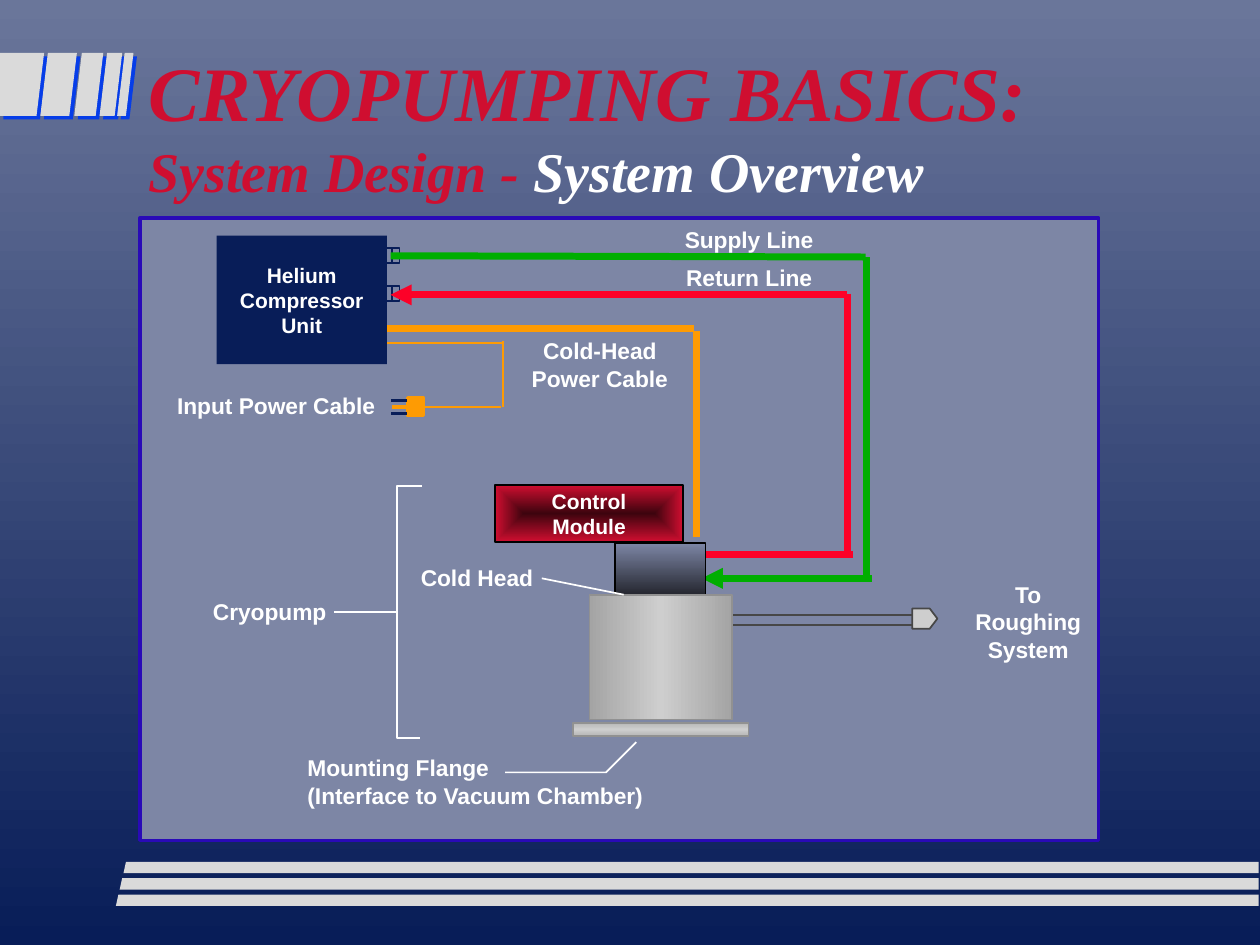
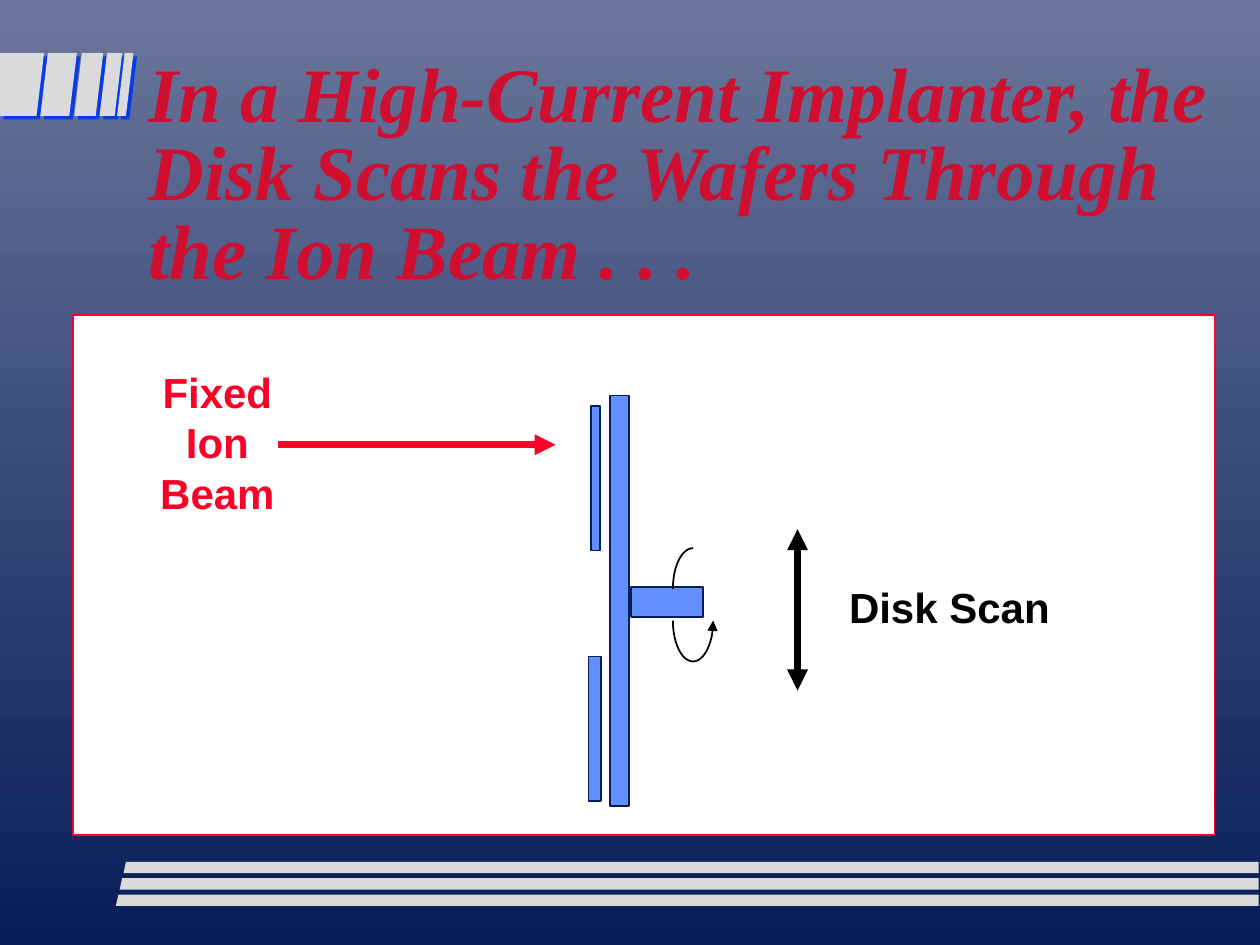
from lxml.etree import SubElement
from pptx import Presentation
from pptx.dml.color import RGBColor
from pptx.enum.shapes import MSO_CONNECTOR, MSO_SHAPE
from pptx.enum.text import MSO_ANCHOR, PP_ALIGN
from pptx.oxml.ns import qn
from pptx.util import Inches, Pt

COLORS = {
    "sky": "6A769A", "navy": "081D58", "band": "DADADA", "band_shadow": "063DE8",
    "title": "CF0E30", "white": "FFFFFF", "black": "000000",
    "panel": "7D86A5", "panel_edge": "290AB7", "supply": "00AE00",
    "red": "FC0128", "power": "FE9B03", "charcoal": "252730", "maroon": "3D040E",
    "steel": "CECECE", "steel_mid": "B8B8B8", "steel_dark": "A4A4A4",
    "steel_edge": "919191", "pipe": "474747", "disk": "618FFD",
}


def style_shape(shape, fill=None, line=None, width=1, direction=90):
    """Fill with nothing, one colour or a tuple of gradient colours."""
    shape.shadow.inherit = False
    if fill is None:
        shape.fill.background()
    elif isinstance(fill, str):
        shape.fill.solid()
        shape.fill.fore_color.rgb = RGBColor.from_string(COLORS[fill])
    else:
        shape.fill.gradient()
        gradient = shape.element.spPr.find(qn("a:gradFill"))
        gradient.clear()
        stops = SubElement(gradient, qn("a:gsLst"))
        for index, name in enumerate(fill):
            position = 100000 * index // (len(fill) - 1)
            stop = SubElement(stops, qn("a:gs"), pos=str(position))
            SubElement(stop, qn("a:srgbClr"), val=COLORS[name])
        if direction == "center":
            focus = SubElement(gradient, qn("a:path"), path="rect")
            SubElement(focus, qn("a:fillToRect"), l="50000", t="50000", r="50000", b="50000")
        else:
            SubElement(gradient, qn("a:lin"), ang=str(direction * 60000), scaled="0")
    if line is None:
        shape.line.fill.background()
    else:
        shape.line.color.rgb = RGBColor.from_string(COLORS[line])
        shape.line.width = Pt(width)
    return shape


def add_line(slide, color, width, points, arrows=()):
    """Straight line; arrows holds headEnd and/or tailEnd."""
    connector = slide.shapes.add_connector(MSO_CONNECTOR.STRAIGHT, *map(Inches, points))
    connector.line.color.rgb = RGBColor.from_string(COLORS[color])
    connector.line.width = Pt(width)
    outline = connector.element.spPr.find(qn("a:ln"))
    for arrow in arrows:
        SubElement(outline, qn(f"a:{arrow}"), type="triangle")
    SubElement(connector.element.spPr, qn("a:effectLst"))
    return connector


presentation = Presentation()
presentation.slide_width = Inches(10)
presentation.slide_height = Inches(7.5)
layout = presentation.slide_layouts[5]
overview = presentation.slides.add_slide(layout)
scan = presentation.slides.add_slide(layout)

# Shared background
background = layout.background.fill
background.gradient()
background.gradient_angle = 270
for stop, name in zip(background.gradient_stops, ("sky", "navy")):
    stop.color.rgb = RGBColor.from_string(COLORS[name])

# Shared bands: slanted blocks at the top left, stripes at the foot
bands = [
    ([(left, 0.42), (right, 0.42), (right - 0.06, 0.92), (max(left - 0.06, 0), 0.92)], True)
    for left, right in ((0, 0.35), (0.38, 0.61), (0.65, 0.82), (0.85, 0.97), (0.99, 1.06))
]
for row in range(3):
    left, top = 0.98 - 0.03 * row, 6.84 + 0.13 * row
    bands.append(([(left + 0.02, top), (9.99, top), (9.99, top + 0.09), (left, top + 0.09)], False))
for corners, has_shadow in bands:
    start, *others = [(Inches(x), Inches(y)) for x, y in corners]
    builder = overview.shapes.build_freeform(*start)
    builder.add_line_segments(others, close=True)
    band = style_shape(builder.convert_to_shape(), "band")
    if has_shadow:
        effects = band.element.spPr.find(qn("a:effectLst"))
        shadow = SubElement(effects, qn("a:outerShdw"), blurRad="0", dist=str(Pt(2.8)),
                            dir=str(45 * 60000), algn="ctr", rotWithShape="0")
        SubElement(shadow, qn("a:srgbClr"), val=COLORS["band_shadow"])
    layout.shapes.element.append(band.element)

# White panel behind the second title
scan_panel = scan.shapes.add_shape(
    MSO_SHAPE.RECTANGLE, Inches(0.58), Inches(2.5), Inches(9.06), Inches(4.13))
style_shape(scan_panel, "white", "red")
scan.shapes.element.append(scan.shapes.title.element)

# Titles: None stands for a line break
titles = [
    (overview, (1.08, 0.3, 8.5, 1.29), 1.0,
     [("CRYOPUMPING BASICS:", 44, "title"), None,
      ("System Design - ", 32, "title"), ("System Overview", 32, "white")]),
    (scan, (1.08, 0.42, 9.5, 2.42), 0.85,
     [("In a High-Current Implanter, the Disk Scans the Wafers Through", 44, "title"), None,
      ("the Ion Beam . . .", 44, "title")]),
]
for slide, box, spacing, parts in titles:
    title = slide.shapes.title
    title.left, title.top, title.width, title.height = map(Inches, box)
    frame = title.text_frame
    frame.word_wrap = True
    frame.vertical_anchor = MSO_ANCHOR.TOP
    paragraph = frame.paragraphs[0]
    paragraph.alignment = PP_ALIGN.LEFT
    paragraph.line_spacing = spacing
    for part in parts:
        if part is None:
            paragraph.add_line_break()
            continue
        text, size, color = part
        run = paragraph.add_run()
        run.text = text
        run.font.name = "Times New Roman"
        run.font.size = Pt(size)
        run.font.bold = run.font.italic = True
        run.font.color.rgb = RGBColor.from_string(COLORS[color])

# Overview: panel and power plug
panel = overview.shapes.add_shape(
    MSO_SHAPE.RECTANGLE, Inches(1.11), Inches(1.73), Inches(7.61), Inches(4.94))
style_shape(panel, "panel", "panel_edge", 2)
plug = overview.shapes.add_shape(
    MSO_SHAPE.RECTANGLE, Inches(3.24), Inches(3.16), Inches(0.12), Inches(0.14))
style_shape(plug, "power", "power", 2)

# Overview: compressor fittings, bracket and flange leader
outlines = [
    ([(x, y), (x + 0.08, y), (x + 0.08, y + 0.12), (x, y + 0.12)], "navy")
    for y in (1.97, 2.27) for x in (3.09, 3.03)
]
outlines += [
    ([(3.35, 3.86), (3.15, 3.86), (3.15, 5.86), (3.33, 5.86)], "white"),
    ([(5.05, 5.89), (4.81, 6.13), (4.01, 6.13)], "white"),
]
for points, color in outlines:
    start, *others = [(Inches(x), Inches(y)) for x, y in points]
    builder = overview.shapes.build_freeform(*start)
    builder.add_line_segments(others, close=False)
    style_shape(builder.convert_to_shape(), None, color)

# Overview: helium lines, cables and plug prongs
for color, width, points, arrows in [
    ("supply", 4, (6.88, 2.04, 6.88, 4.58), ()),
    ("supply", 4, (6.92, 4.59, 5.57, 4.59), ("tailEnd",)),
    ("red", 4, (6.73, 2.33, 6.73, 4.39), ()),
    ("red", 4, (6.77, 4.4, 5.55, 4.4), ()),
    ("power", 4, (2.97, 2.61, 5.51, 2.61), ()),
    ("power", 4, (5.53, 2.63, 5.53, 4.26), ()),
    ("supply", 4, (3.1, 2.03, 6.87, 2.04), ()),
    ("red", 4, (3.1, 2.34, 6.72, 2.34), ("headEnd",)),
    ("navy", 2, (3.23, 3.18, 3.1, 3.18), ()),
    ("navy", 2, (3.23, 3.28, 3.1, 3.28), ()),
    ("power", 2, (3.24, 3.23, 3.11, 3.23), ()),
    ("power", 1, (3.07, 2.72, 3.99, 2.72), ()),
    ("power", 1, (3.99, 3.23, 3.99, 2.71), ()),
    ("white", 1, (3.14, 4.86, 2.65, 4.86), ()),
]:
    add_line(overview, color, width, points, arrows)
input_cable = add_line(overview, "power", 1, (3.36, 3.23, 3.98, 3.23))
input_cable.begin_connect(plug, 3)

# Overview: equipment, from back to front
equipment = {}
for name, box, fill, line, direction in [
    ("compressor", (1.72, 1.87, 1.35, 1.02), "navy", None, 90),
    ("cold head", (4.88, 4.31, 0.72, 0.41), ("panel", "charcoal"), "black", 90),
    ("flange", (4.55, 5.74, 1.39, 0.1), ("steel_mid", "steel", "steel_mid"), "steel_edge", 90),
    ("control", (3.93, 3.85, 1.49, 0.45), ("maroon", "title"), "black", "center"),
    ("roughing pipe", (5.74, 4.88, 1.51, 0.08), None, "pipe", 90),
    ("vessel", (4.68, 4.72, 1.13, 0.99), ("steel_dark", "steel", "steel_dark"), "steel_edge", 0),
]:
    shape = overview.shapes.add_shape(MSO_SHAPE.RECTANGLE, *map(Inches, box))
    equipment[name] = style_shape(shape, fill, line, 1, direction)
add_line(overview, "white", 1, (4.3, 4.59, 4.95, 4.72))
pipe_tip = overview.shapes.add_shape(
    MSO_SHAPE.PENTAGON, Inches(7.24), Inches(4.83), Inches(0.2), Inches(0.16))
pipe_tip.adjustments[0] = 0.38
style_shape(pipe_tip, "steel", "pipe")

# Disk scan: disk, hub and the two wafers
for box in [(4.84, 3.14, 0.15, 3.26), (5.01, 4.66, 0.57, 0.24),
            (4.67, 5.21, 0.1, 1.15), (4.69, 3.22, 0.07, 1.15)]:
    shape = scan.shapes.add_shape(MSO_SHAPE.RECTANGLE, *map(Inches, box))
    style_shape(shape, "disk", "navy")

# Disk scan: rotation arcs (angles in degrees, clockwise from the right)
for top, first, last in [(4.35, 180, 270), (4.6, 0, 180)]:
    arc = scan.shapes.add_shape(
        MSO_SHAPE.ARC, Inches(5.34), Inches(top), Inches(0.32), Inches(0.65))
    arc.adjustments[0] = first * 0.6
    arc.adjustments[1] = last * 0.6
    style_shape(arc, None, "black")
    if first == 0:
        SubElement(arc.element.spPr.find(qn("a:ln")), qn("a:headEnd"), type="triangle")

# Disk scan: motion and beam arrows
add_line(scan, "black", 4, (6.33, 4.2, 6.33, 5.48), ("headEnd", "tailEnd"))
add_line(scan, "red", 4, (2.21, 3.53, 4.41, 3.53), ("tailEnd",))

# Labels: place (a box or a shape), alignment, size, colour, spacing, before, lines
LEFT, CENTER = PP_ALIGN.LEFT, PP_ALIGN.CENTER
for slide, place, align, size, color, spacing, before, lines in [
    (overview, (4.09, 2.71, 1.34, 0.44), CENTER, 13, "white", 0.5, 8.1,
     ["Cold-Head", "Power Cable"]),
    (overview, (1.15, 3.15, 2.08, 0.22), CENTER, 13, "white", 0.5, 8.1, ["Input Power Cable"]),
    (overview, (3.23, 4.51, 1.16, 0.22), LEFT, 13, "white", 0.5, 8.1, ["Cold Head"]),
    (overview, (1.58, 4.78, 1.16, 0.22), LEFT, 13, "white", 0.5, 8.1, ["Cryopump"]),
    (overview, (2.33, 6.02, 2.98, 0.44), LEFT, 13, "white", 0.5, 8.1,
     ["Mounting Flange", "(Interface to Vacuum Chamber)"]),
    (overview, (7.55, 4.64, 1.22, 0.66), CENTER, 13, "white", 0.5, 8.1,
     ["To", "Roughing", "System"]),
    (overview, (5.28, 1.73, 1.33, 0.33), CENTER, 13, "white", 1.0, 8.1, ["Supply Line"]),
    (overview, (5.33, 2.03, 1.23, 0.33), CENTER, 13, "white", 1.0, 8.1, ["Return Line"]),
    (overview, equipment["compressor"], CENTER, 12, "white", 1.0, 0,
     ["Helium", "Compressor", "Unit"]),
    (overview, equipment["control"], CENTER, 12, "white", 1.0, 0, ["Control", "Module"]),
    (scan, (6.64, 4.57, 1.9, 0.5), LEFT, 24, "black", 1.0, 0, ["Disk Scan"]),
    (scan, (1.1, 2.86, 1.25, 1.3), CENTER, 24, "red", 1.0, 0, ["Fixed", "Ion", "Beam"]),
]:
    if isinstance(place, tuple):
        frame = slide.shapes.add_textbox(*map(Inches, place)).text_frame
        frame.margin_left = frame.margin_right = Inches(0.11 if before else 0.1)
        frame.margin_top = frame.margin_bottom = Inches(0.06 if before else 0.05)
    else:
        frame = place.text_frame
        frame.vertical_anchor = MSO_ANCHOR.MIDDLE
        frame.margin_top = frame.margin_bottom = 0
    frame.word_wrap = True
    for index, text in enumerate(lines):
        paragraph = frame.add_paragraph() if index else frame.paragraphs[0]
        paragraph.alignment = align
        paragraph.line_spacing = spacing
        paragraph.space_before = Pt(before)
        run = paragraph.add_run()
        run.text = text
        run.font.name = "Arial"
        run.font.size = Pt(size)
        run.font.bold = True
        run.font.color.rgb = RGBColor.from_string(COLORS[color])

presentation.save("out.pptx")
